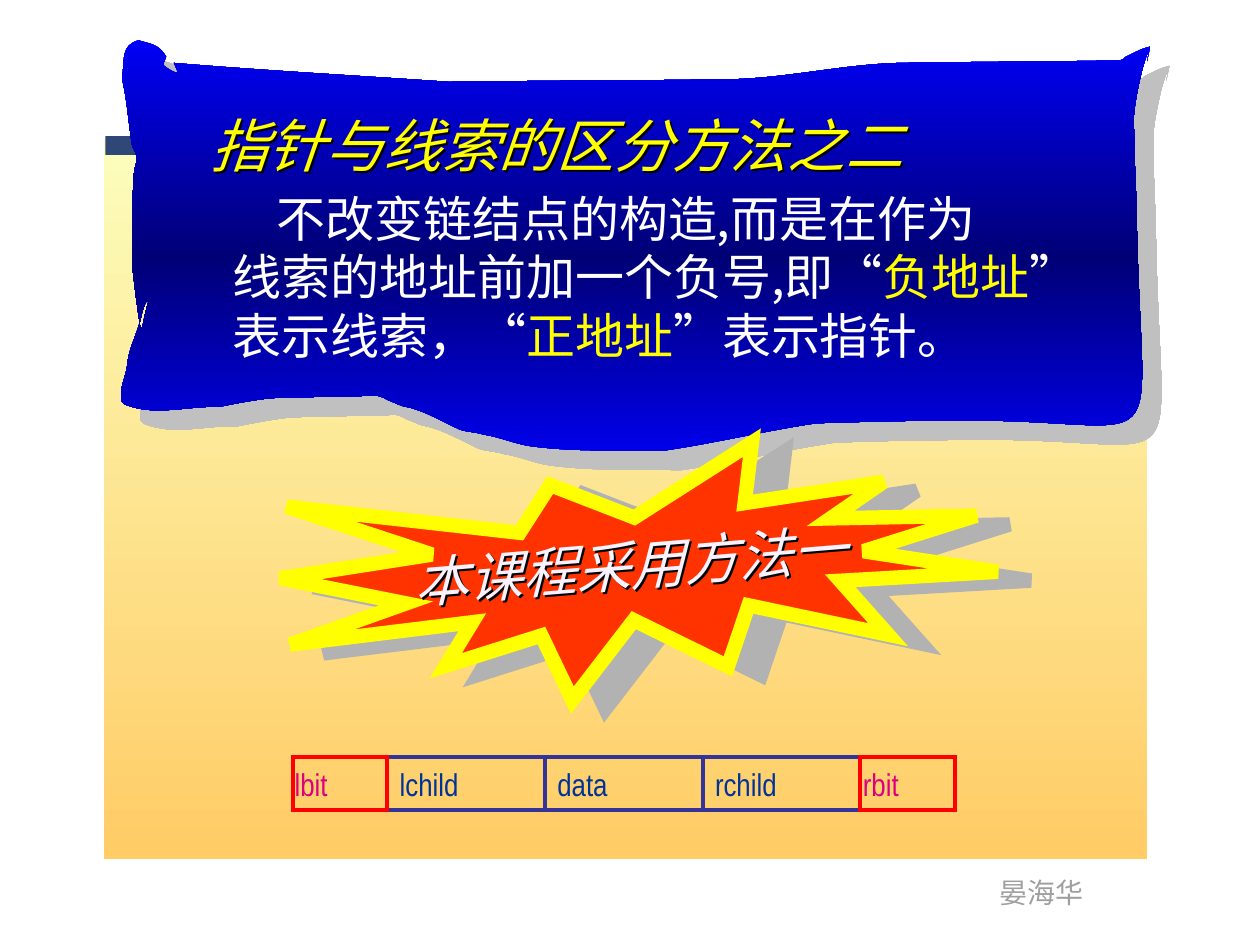
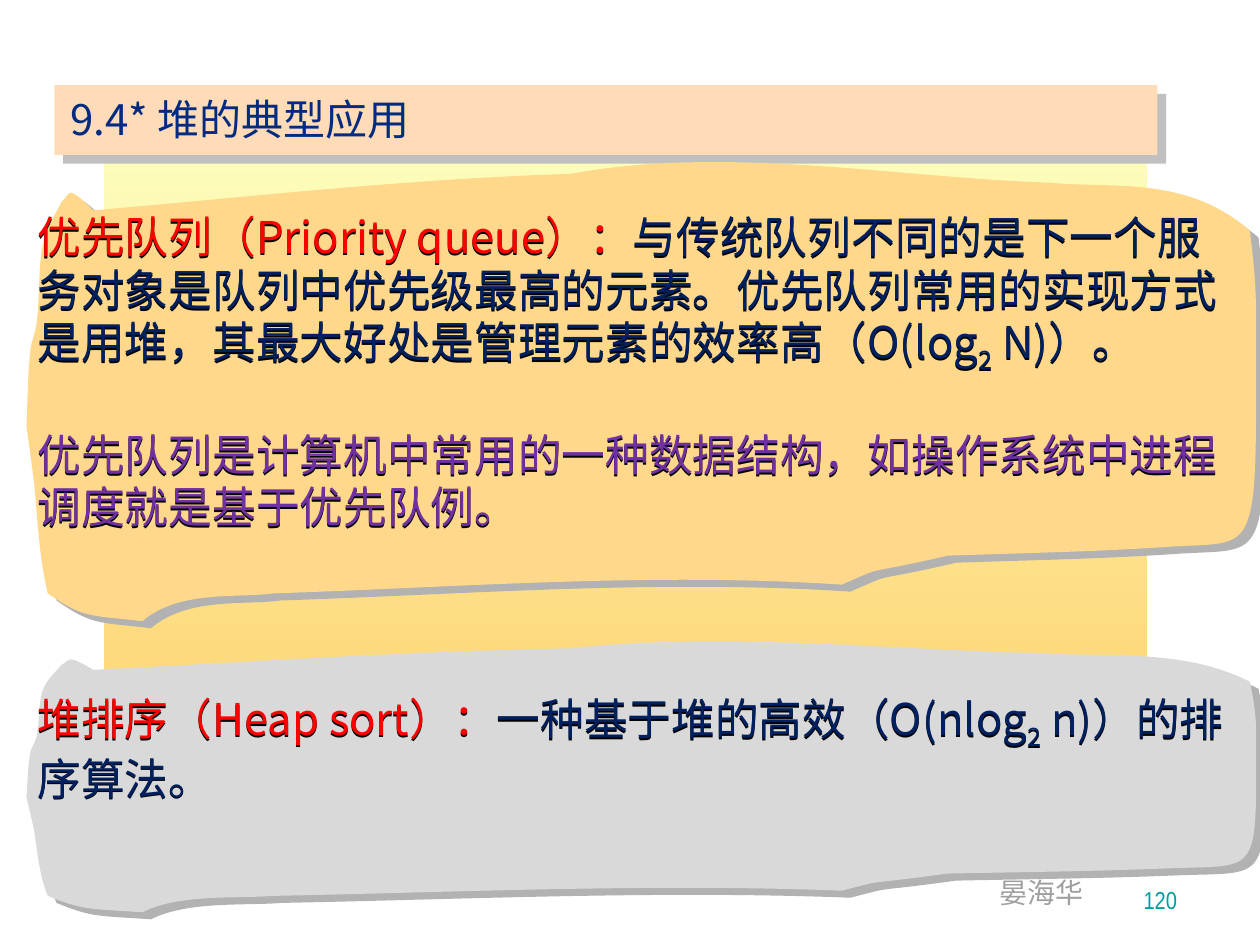
"""Builds two lecture slides on threaded-tree pointers and on heap applications."""
from lxml import etree
from pptx import Presentation
from pptx.dml.color import RGBColor
from pptx.enum.shapes import MSO_SHAPE
from pptx.enum.text import MSO_ANCHOR, PP_ALIGN
from pptx.oxml.ns import qn
from pptx.util import Pt

RECTANGLE, BURST = MSO_SHAPE.RECTANGLE, MSO_SHAPE.EXPLOSION1
TOP, MIDDLE, BOTTOM = MSO_ANCHOR.TOP, MSO_ANCHOR.MIDDLE, MSO_ANCHOR.BOTTOM
LEFT, RIGHT = PP_ALIGN.LEFT, PP_ALIGN.RIGHT

NARROW, CJK = "Arial Narrow", "Noto Sans CJK SC"
CREAM, AMBER = RGBColor(252, 254, 188), RGBColor(255, 204, 102)
BAND_DARK, BAND_LIGHT = RGBColor(47, 71, 118), RGBColor(102, 153, 255)
BLUE, MIDNIGHT = RGBColor(0, 0, 255), RGBColor(0, 0, 118)
WHITE, BLACK = RGBColor(255, 255, 255), RGBColor(0, 0, 0)
YELLOW, RED, ORANGE_RED = RGBColor(255, 255, 0), RGBColor(255, 0, 0), RGBColor(255, 51, 0)
PALE, MAGENTA = RGBColor(249, 243, 255), RGBColor(220, 0, 129)
INDIGO, CELL_BLUE = RGBColor(51, 51, 153), RGBColor(0, 51, 153)
TITLE_BLUE, NAVY = RGBColor(0, 43, 128), RGBColor(0, 32, 96)
PURPLE, TEAL = RGBColor(112, 48, 160), RGBColor(0, 158, 161)
PEACH, SAND, SILVER = RGBColor(255, 219, 183), RGBColor(255, 216, 139), RGBColor(217, 217, 217)
NAME_GREY = RGBColor(159, 159, 159)
LIGHT_SHADOW, MID_SHADOW = RGBColor(192, 192, 192), RGBColor(178, 178, 178)

AUTHOR, PAGE_NUMBER = "晏海华", "120"
METHOD_TITLE = "指针与线索的区分方法之二"
METHOD_TEXT = [
    [("不改变链结点的构造,而是在作为", WHITE, CJK)],
    [("线索的地址前加一个负号,即", WHITE, CJK), ("“", WHITE, NARROW),
     ("负地址", YELLOW, CJK), ("”", WHITE, NARROW)],
    [("表示线索，", WHITE, CJK), ("“", WHITE, NARROW), ("正地址", YELLOW, CJK),
     ("”", WHITE, NARROW), ("表示指针。", WHITE, CJK)],
]
CHOICE = "本课程采用方法一"
FIELDS = ["lchild", "data", "rchild"]
FLAGS = [("lbit", 161.3, 167.4), ("rbit", 486, 491.5)]
HEAP_TITLE = "9.4* 堆的典型应用"
QUEUE_TEXT = [
    [("优先队列（Priority queue）：", RED, CJK),
     ("与传统队列不同的是下一个服务对象是队列中优先级最高的元素。优先队列常用的实现方式"
      "是用堆，其最大好处是管理元素的效率高（O(log", NAVY, CJK),
     ("2", NAVY, CJK, -25), (" N)）。", NAVY, CJK)],
    [("优先队列是计算机中常用的一种数据结构，如操作系统中进程调度就是基于优先队例。", PURPLE, CJK)],
]
SORT_TEXT = [
    [("堆排序（Heap sort）：", RED, CJK), ("一种基于堆的高效（O(nlog", NAVY, CJK),
     ("2", NAVY, CJK, -25), (" n)）的排序算法。", NAVY, CJK)],
]

GRID = 0.72
SCROLL = [(138, 50), [
    (210, 56, 283, 60, 356, 65), (431, 64, 505, 64, 580, 63), (625, 62, 670, 51, 714, 50),
    (772, 49, 831, 49, 889, 48), (907, 40, 879, 52, 902, 41), (905, 39, 913, 37, 913, 37),
    (906, 69, 917, 21, 907, 54), (904, 66, 901, 80, 900, 92), (900, 114, 901, 137, 902, 160),
    (905, 387, 941, 330, 747, 334), (714, 334, 681, 335, 648, 336),
    (607, 342, 567, 352, 525, 358), (490, 357, 455, 359, 420, 354),
    (408, 352, 397, 347, 384, 345), (378, 343, 371, 343, 365, 341),
    (354, 336, 342, 329, 330, 325), (325, 323, 320, 323, 316, 321),
    (312, 319, 308, 318, 305, 316), (303, 315, 299, 314, 299, 314),
    (272, 315, 244, 315, 217, 316), (202, 317, 174, 323, 174, 323),
    (149, 322, 123, 331, 99, 321), (91, 317, 100, 300, 101, 290),
    (102, 277, 109, 265, 112, 252), (112, 251, 115, 239, 117, 239),
    (119, 239, 116, 244, 116, 246), (111, 267, 116, 248, 112, 263),
    (109, 246, 107, 228, 105, 211), (105, 188, 105, 165, 106, 142),
    (107, 126, 112, 129, 105, 116), (102, 98, 101, 80, 97, 63), (99, 46, 96, 36, 110, 32),
    (120, 35, 126, 35, 132, 45), (131, 48, 129, 51, 130, 52), (133, 55, 143, 60, 141, 57),
    (140, 54, 139, 52, 138, 50)]]
CLOUD_TOP = 115
CLOUD = [(49, 160), [
    (52, 158, 54, 152, 57, 153), (63, 155, 74, 167, 74, 167), (202, 156, 323, 142, 453, 138),
    (577, 115, 711, 141, 833, 145), (884, 150, 941, 139, 992, 183),
    (995, 209, 997, 225, 997, 257), (997, 448, 1000, 429, 927, 434),
    (869, 438, 810, 439, 752, 441), (679, 458, 707, 447, 668, 464),
    (517, 454, 367, 466, 216, 471), (188, 475, 142, 468, 113, 493),
    (71, 488, 67, 491, 38, 471), (31, 442, 30, 414, 27, 382), (25, 367, 21, 338, 21, 338),
    (22, 318, 22, 298, 24, 279), (25, 270, 28, 265, 29, 257), (32, 235, 30, 208, 35, 190),
    (39, 177, 44, 170, 49, 160)]]


def element(parent, tag, **attributes):
    return etree.SubElement(parent, qn(tag), {key: str(value) for key, value in attributes.items()})


def add_shadow(shape, color, distance, angle):
    effects = shape._element.spPr.find(qn("a:effectLst"))
    shadow = element(effects, "a:outerShdw", dist=Pt(distance), dir=int(angle * 60000),
                     algn="ctr", rotWithShape=0)
    element(shadow, "a:srgbClr", val=color)


def paint(shape, fill=None, line=None, weight=2.25, shadow=None, angle=90):
    shape.shadow.inherit = False
    if isinstance(fill, RGBColor):
        shape.fill.solid()
        shape.fill.fore_color.rgb = fill
    else:
        shape.fill.background()
    if fill and not isinstance(fill, RGBColor):
        properties = shape._element.spPr
        gradient = etree.Element(qn("a:gradFill"), rotWithShape="1")
        stops = element(gradient, "a:gsLst")
        for index, color in enumerate(fill):
            stop = element(stops, "a:gs", pos=index * 100000 // (len(fill) - 1))
            element(stop, "a:srgbClr", val=color)
        element(gradient, "a:lin", ang=angle * 60000, scaled=0)
        properties.replace(properties.find(qn("a:noFill")), gradient)
    if line:
        shape.line.color.rgb = line
        shape.line.width = Pt(weight)
        element(shape._element.spPr.find(qn("a:ln")), "a:miter", lim=800000)
    else:
        shape.line.fill.background()
    if shadow:
        add_shadow(shape, *shadow)


def add_block(page, kind, bounds, **style):
    shape = page.shapes.add_shape(kind, *map(Pt, bounds))
    paint(shape, **style)
    return shape


def write(shape, paragraphs, size, anchor=TOP, align=LEFT, italic=False,
          wrap=True, inset=3.6, gap=0):
    frame = shape.text_frame
    frame.word_wrap = wrap
    frame.vertical_anchor = anchor
    frame.margin_top = Pt(inset)
    for index, spans in enumerate(paragraphs):
        para = frame.add_paragraph() if index else frame.paragraphs[0]
        para.alignment = align
        if index and gap:
            para.space_before = Pt(gap)
        for text, color, font, *baseline in spans:
            span = para.add_run()
            span.text = text
            span.font.size = Pt(size)
            span.font.name = font
            span.font.italic = italic
            span.font.color.rgb = color
            properties = span.font._element
            element(properties, "a:ea", typeface=CJK)
            if baseline:
                properties.set("baseline", str(baseline[0] * 1000))


def add_text(page, bounds, paragraphs, size, shadow=None, **layout):
    box = page.shapes.add_textbox(*map(Pt, bounds))
    if shadow:
        box.shadow.inherit = False
        add_shadow(box, *shadow)
    write(box, paragraphs, size, **layout)
    return box


def add_line(page, bounds, text, color, font, size, **layout):
    return add_text(page, bounds, [[(text, color, font)]], size, **layout)


def add_outline(page, outline, top=0, new_top=0, stretch=1, **style):
    def place(x, y):
        return Pt(x * GRID), Pt((new_top + (y - top) * stretch) * GRID)

    start, curves = outline
    controls = [place(*curve[i:i + 2]) for curve in curves for i in (0, 2, 4)]
    builder = page.shapes.build_freeform(*place(*start))
    builder.add_line_segments(controls, close=True)
    shape = builder.convert_to_shape()
    segments = list(shape._element.iter(qn("a:lnTo")))
    for index in range(0, len(segments), 3):
        curve = etree.Element(qn("a:cubicBezTo"))
        segments[index].addprevious(curve)
        for segment in segments[index:index + 3]:
            curve.append(segment[0])
            segment.getparent().remove(segment)
    paint(shape, **style)


def add_page(deck):
    page = deck.slides.add_slide(deck.slide_layouts[6])
    add_block(page, RECTANGLE, (59.5, 79.2, 596.2, 411.8), fill=(CREAM, AMBER))
    add_block(page, RECTANGLE, (60.2, 77.8, 595.4, 10.8), fill=(BAND_DARK, BAND_LIGHT), angle=0)
    add_line(page, (564.2, 496.8, 62.6, 26.6), AUTHOR, NAME_GREY, NARROW, 16, wrap=False)
    return page


def build_method_page(deck):
    page = add_page(deck)
    add_outline(page, SCROLL, fill=(BLUE, MIDNIGHT, BLUE), shadow=(LIGHT_SHADOW, 15.6, 45))
    body = add_text(page, (126, 62.6, 518.4, 150.5), METHOD_TEXT, 28, inset=44.9)
    body.text_frame.paragraphs[0]._p.get_or_add_pPr().set("indent", str(Pt(25)))
    text_shadow = (BLACK, 1.6, 45)
    add_line(page, (113, 59, 462.2, 46.8), METHOD_TITLE, YELLOW, CJK, 33,
             italic=True, shadow=text_shadow)
    burst = add_block(page, BURST, (160.6, 258.5, 409, 138.2), fill=ORANGE_RED, line=YELLOW,
                      weight=8.25, shadow=(MID_SHADOW, 19.6, 15))
    choice = add_line(page, (229, 298.1, 318.2, 44.6), CHOICE, PALE, NARROW, 31,
                      italic=True, shadow=text_shadow)
    burst.rotation = choice.rotation = 355.3

    top, height = 432.7, 30.2
    for index, name in enumerate(FIELDS):
        cell = add_block(page, RECTANGLE, (221.3 + index * 90.1, top, 90.1, height), line=INDIGO)
        write(cell, [[(name, CELL_BLUE, NARROW)]], 18, anchor=MIDDLE)
    for name, text_left, _ in FLAGS:
        add_line(page, (text_left, top, 66.2, height), name, MAGENTA, NARROW, 18, anchor=MIDDLE)
    for _, _, frame_left in FLAGS:
        add_block(page, RECTANGLE, (frame_left, top, 54, height), line=RED)


def build_heap_page(deck):
    page = add_page(deck)
    add_line(page, (529.9, 490.3, 149.8, 36), PAGE_NUMBER, TEAL, NARROW, 14,
             anchor=BOTTOM, align=RIGHT)
    add_block(page, RECTANGLE, (31, 48.7, 630.4, 39.9), fill=PEACH, shadow=(LIGHT_SHADOW, 7.1, 45))
    add_line(page, (33.1, 49.7, 647.3, 36.7), HEAP_TITLE, TITLE_BLUE, CJK, 24)
    cloud_shadow, text_shadow = (MID_SHADOW, 6.4, 39), (BLACK, 1, 90)
    add_outline(page, CLOUD, CLOUD_TOP, CLOUD_TOP, fill=SAND, shadow=cloud_shadow)
    add_text(page, (14.4, 116.6, 692.6, 189.4), QUEUE_TEXT, 25, gap=30.2, shadow=text_shadow)
    add_outline(page, CLOUD, CLOUD_TOP, 501, 0.59, fill=SILVER, shadow=cloud_shadow)
    add_text(page, (14.4, 391.7, 692.6, 97.9), SORT_TEXT, 25, shadow=text_shadow)


def main():
    deck = Presentation()
    deck.slide_width, deck.slide_height = Pt(720), Pt(540)
    build_method_page(deck)
    build_heap_page(deck)
    deck.save("out.pptx")


if __name__ == "__main__":
    main()
